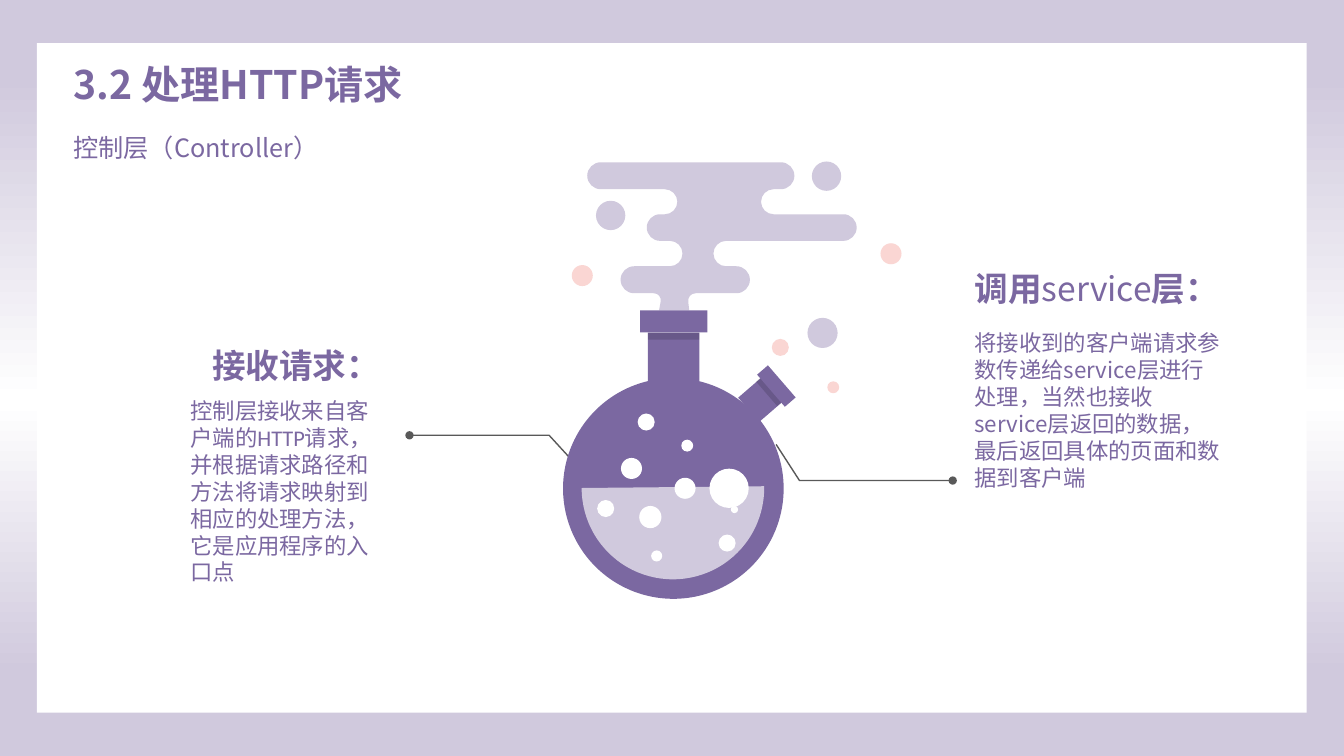
from copy import deepcopy
from dataclasses import dataclass
from math import dist
from typing import Any, Optional

from lxml.etree import SubElement
from pptx import Presentation
from pptx.dml.color import RGBColor
from pptx.enum.shapes import MSO_SHAPE as Preset
from pptx.enum.text import MSO_AUTO_SIZE as AutoSize, PP_ALIGN as Align
from pptx.oxml.ns import qn
from pptx.util import Cm, Pt

Point = tuple[float, float]


@dataclass(frozen=True)
class Theme:
    purple: str = "7B68A1"
    lilac: str = "D0C9DD"
    pink: str = "FAD6D3"
    white: str = "FFFFFF"
    black: str = "000000"
    leader: str = "595959"
    cjk: str = "Noto Sans CJK SC"
    latin: str = "Calibri"
    title: int = 28
    subtitle: int = 18
    heading: int = 24
    body: int = 16


THEME = Theme()


@dataclass(frozen=True)
class Figure:
    left: float
    top: float
    width: float
    height: float
    color: str
    preset: Preset = Preset.RECTANGLE
    rotation: float = 0
    opacity: int = 100
    adjustments: tuple[float, ...] = ()


@dataclass(frozen=True)
class Span:
    text: str
    bold: bool = False


@dataclass(frozen=True)
class Label:
    left: float
    top: float
    width: float
    height: float
    size: int
    spans: tuple[Span, ...]
    font: str = THEME.cjk
    align: Align = Align.LEFT
    line_spacing: Optional[float] = None


def bubble(left: float, top: float, diameter: float, color: str = THEME.white) -> Figure:
    return Figure(left, top, diameter, diameter, color, Preset.OVAL)


TILT = 49.2
SHADE = 15
PANEL = Figure(0.93, 1.09, 32, 16.87, THEME.white)
FLASK = [
    bubble(14.19, 9.53, 5.56, THEME.purple),
    bubble(20.46, 4.07, 0.74, THEME.lilac),
    bubble(15.02, 5.06, 0.74, THEME.lilac),
    bubble(14.41, 6.68, 0.53, THEME.pink),
    bubble(22.19, 6.13, 0.53, THEME.pink),
    bubble(20.35, 8.01, 0.76, THEME.lilac),
    bubble(20.85, 9.61, 0.3, THEME.pink),
    bubble(19.45, 8.54, 0.43, THEME.pink),
    Figure(16.33, 8.38, 1.3, 1.22, THEME.purple),
    Figure(18.75, 9.7, 0.81, 0.76, THEME.purple, rotation=TILT),
    Figure(14.66, 10, 4.6, 4.6, THEME.lilac, Preset.CHORD, adjustments=(215.31, 108.02)),
    bubble(16.07, 10.42, 0.43),
    bubble(17.17, 11.08, 0.3),
    bubble(15.65, 11.54, 0.53),
    bubble(17, 12.04, 0.53),
    bubble(17.88, 11.81, 0.99),
    bubble(16.11, 12.75, 0.56),
    bubble(15.05, 12.6, 0.43),
    bubble(18.11, 13.47, 0.43),
    bubble(16.41, 13.87, 0.28),
    bubble(18.42, 12.75, 0.18),
    Figure(16.33, 8.38, 1.3, 0.18, THEME.black, opacity=SHADE),
    Figure(18.97, 9.8, 0.81, 0.15, THEME.black, rotation=TILT, opacity=SHADE),
    Figure(19.03, 9.55, 1.07, 0.36, THEME.purple, rotation=TILT),
    Figure(16.13, 7.82, 1.7, 0.56, THEME.purple),
]
SMOKE_BASE = 7.82
SMOKE_RADIUS = 0.34
SMOKE: list[Point] = [
    (14.8, 4.09), (20.02, 4.09), (20.02, 4.77), (19.18, 4.77), (19.18, 5.4), (21.59, 5.4),
    (21.59, 6.07), (17.98, 6.07), (17.98, 6.71), (18.9, 6.71), (18.9, 7.39), (17.32, 7.39),
    (17.37, SMOKE_BASE), (16.61, SMOKE_BASE), (16.69, 7.39), (15.64, 7.39), (15.64, 6.71),
    (17.2, 6.71), (17.2, 6.07), (16.3, 6.07), (16.3, 5.4), (17.07, 5.4), (17.07, 4.77),
    (14.8, 4.77),
]
LEADERS: list[list[Point]] = [
    [(14.38, 11.56), (13.84, 10.97), (10.32, 10.97)],
    [(19.56, 11.2), (20.15, 12.11), (24.01, 12.11)],
]
LABELS = [
    Label(1.6, 1.39, 10.34, 1.45, THEME.title, (Span("3.2 处理HTTP请求", True),)),
    Label(1.6, 2.82, 12.09, 1.27, THEME.subtitle, (Span("控制层（Controller）"),), line_spacing=1.5),
    Label(24.31, 8.18, 6.81, 4.37, THEME.body,
          (Span("将接收到的客户端请求参数传递给service层进行处理，当然也接收service层返回的数据，"
                "最后返回具体的页面和数据到客户端"),)),
    Label(24.31, 6.63, 6.81, 1.27, THEME.heading,
          (Span("调用", True), Span("service"), Span("层：", True))),
    Label(4.55, 9.89, 5.31, 5.05, THEME.body,
          (Span("控制层接收来自客户端的HTTP请求，并根据请求路径和方法将请求映射到相应的处理方法，"
                "它是应用程序的入口点"),), font=THEME.latin),
    Label(4.42, 8.56, 5.41, 1.27, THEME.heading, (Span("接收请求：", True),), align=Align.RIGHT),
]


def set_format(target: Any, values: dict[str, Any]) -> None:
    for name, value in values.items():
        setattr(target, name, value)


def paint(shape: Any, color: str, opacity: int = 100) -> None:
    shape.shadow.inherit = False
    shape.line.fill.background()
    shape.fill.solid()
    shape.fill.fore_color.rgb = RGBColor.from_string(color)
    if opacity < 100:
        tint = shape.fill._xPr.find(".//" + qn("a:srgbClr"))
        SubElement(tint, qn("a:alpha"), val=str(opacity * 1000))


def draw_figure(shapes: Any, figure: Figure) -> None:
    shape = shapes.add_shape(figure.preset, Cm(figure.left), Cm(figure.top),
                             Cm(figure.width), Cm(figure.height))
    shape.rotation = figure.rotation
    for index, value in enumerate(figure.adjustments):
        shape.adjustments[index] = value
    paint(shape, figure.color, figure.opacity)


def draw_outline(shapes: Any, points: list[Point], close: bool) -> Any:
    start, *rest = [(Cm(x), Cm(y)) for x, y in points]
    builder = shapes.build_freeform(*start)
    builder.add_line_segments(rest, close=close)
    return builder.convert_to_shape()


def toward(start: Point, end: Point, length: float) -> Point:
    share = length / dist(start, end)
    return start[0] + (end[0] - start[0]) * share, start[1] + (end[1] - start[1]) * share


def round_corner(before: Point, corner: Point, after: Point) -> list[Point]:
    radius = min(SMOKE_RADIUS, dist(before, corner) / 2, dist(corner, after) / 2)
    pull = radius * 0.45
    return [toward(corner, before, radius), toward(corner, before, pull),
            toward(corner, after, pull), toward(corner, after, radius)]


def draw_smoke(shapes: Any) -> None:
    outline: list[Point] = []
    curves: list[int] = []
    for before, corner, after in zip(SMOKE[-1:] + SMOKE, SMOKE, SMOKE[1:] + SMOKE[:1]):
        if corner[1] == SMOKE_BASE:
            outline.append(corner)
        else:
            curves.append(len(outline))
            outline += round_corner(before, corner, after)
    smoke = draw_outline(shapes, outline, True)
    segments = list(smoke._element.iter(qn("a:lnTo")))
    for first in curves:
        curve, *others = segments[first:first + 3]
        curve.tag = qn("a:cubicBezTo")
        for segment in others:
            curve.append(segment[0])
            segment.getparent().remove(segment)
    paint(smoke, THEME.lilac)


def draw_leader(shapes: Any, points: list[Point]) -> None:
    leader = draw_outline(shapes, points, False)
    leader.shadow.inherit = False
    leader.fill.background()
    leader.line.color.rgb = RGBColor.from_string(THEME.leader)
    leader.line.width = Pt(1)
    SubElement(leader.line._get_or_add_ln(), qn("a:tailEnd"), type="oval")


def draw_label(shapes: Any, label: Label) -> None:
    box = shapes.add_textbox(Cm(label.left), Cm(label.top), Cm(label.width), Cm(label.height))
    set_format(box.text_frame, {"word_wrap": True, "auto_size": AutoSize.SHAPE_TO_FIT_TEXT})
    para = box.text_frame.paragraphs[0]
    set_format(para, {"alignment": label.align, "line_spacing": label.line_spacing})
    for span in label.spans:
        run = para.add_run()
        run.text = span.text
        set_format(run.font, {"name": label.font, "size": Pt(label.size), "bold": span.bold})
        run.font.color.rgb = RGBColor.from_string(THEME.purple)
        SubElement(run.font._rPr, qn("a:ea"), typeface=THEME.cjk)


def draw_background(page: Any) -> None:
    fill = page.background.fill
    fill.gradient()
    fill.gradient_angle = 270
    stops = page._element.find(".//" + qn("a:gsLst"))
    stops.append(deepcopy(stops[-1]))
    bands = ((0.1, THEME.lilac), (0.53, THEME.white), (0.89, THEME.lilac))
    for stop, (place, color) in zip(fill.gradient_stops, bands):
        stop.position = place
        stop.color.rgb = RGBColor.from_string(color)


def main() -> None:
    deck = Presentation()
    set_format(deck, {"slide_width": Cm(33.87), "slide_height": Cm(19.05)})
    page = deck.slides.add_slide(deck.slide_layouts[6])
    draw_background(page)
    draw_figure(page.shapes, PANEL)
    for points in LEADERS:
        draw_leader(page.shapes, points)
    flask = page.shapes.add_group_shape().shapes
    draw_smoke(flask)
    for figure in FLASK:
        draw_figure(flask, figure)
    for label in LABELS:
        draw_label(page.shapes, label)
    deck.save("out.pptx")


if __name__ == "__main__":
    main()
